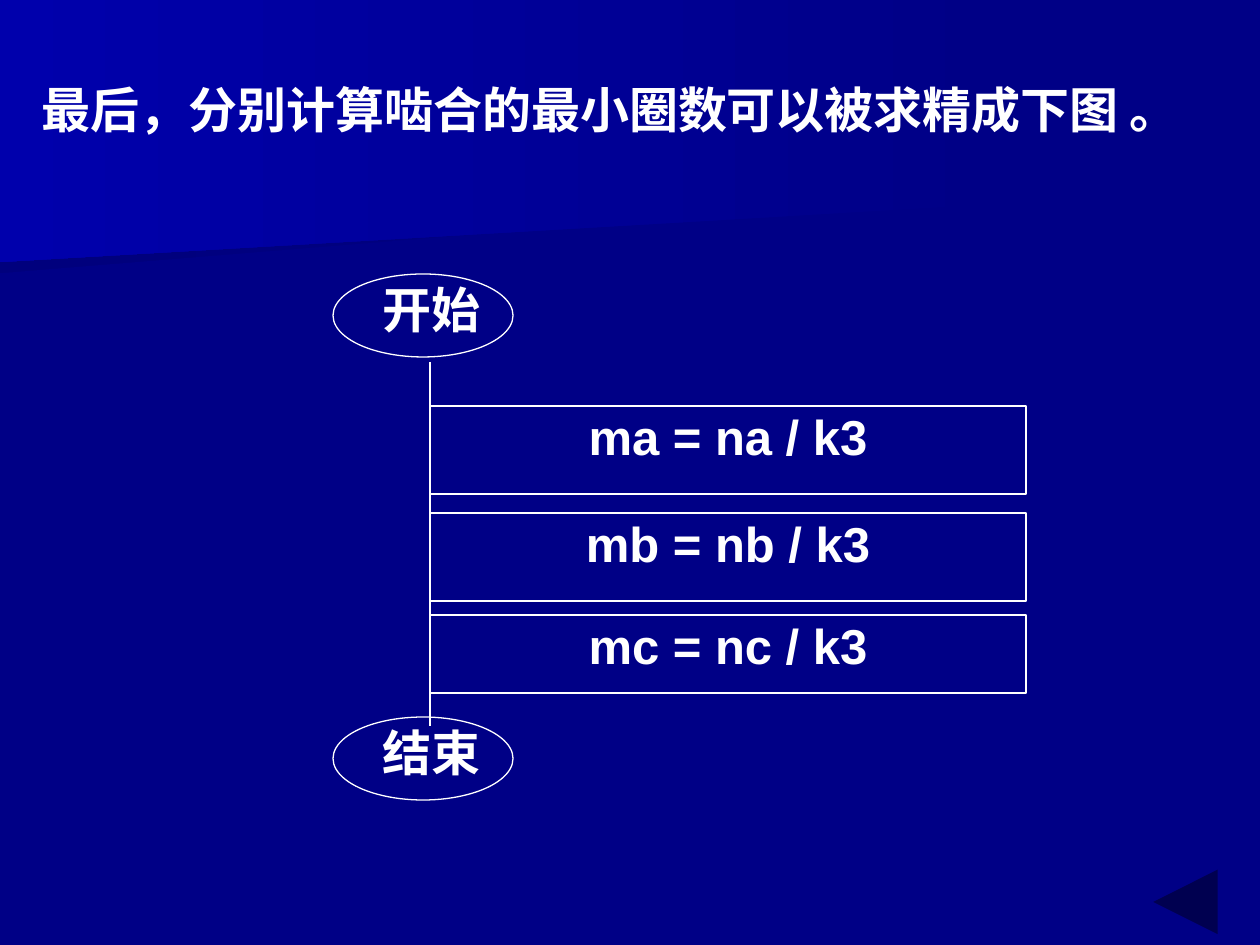
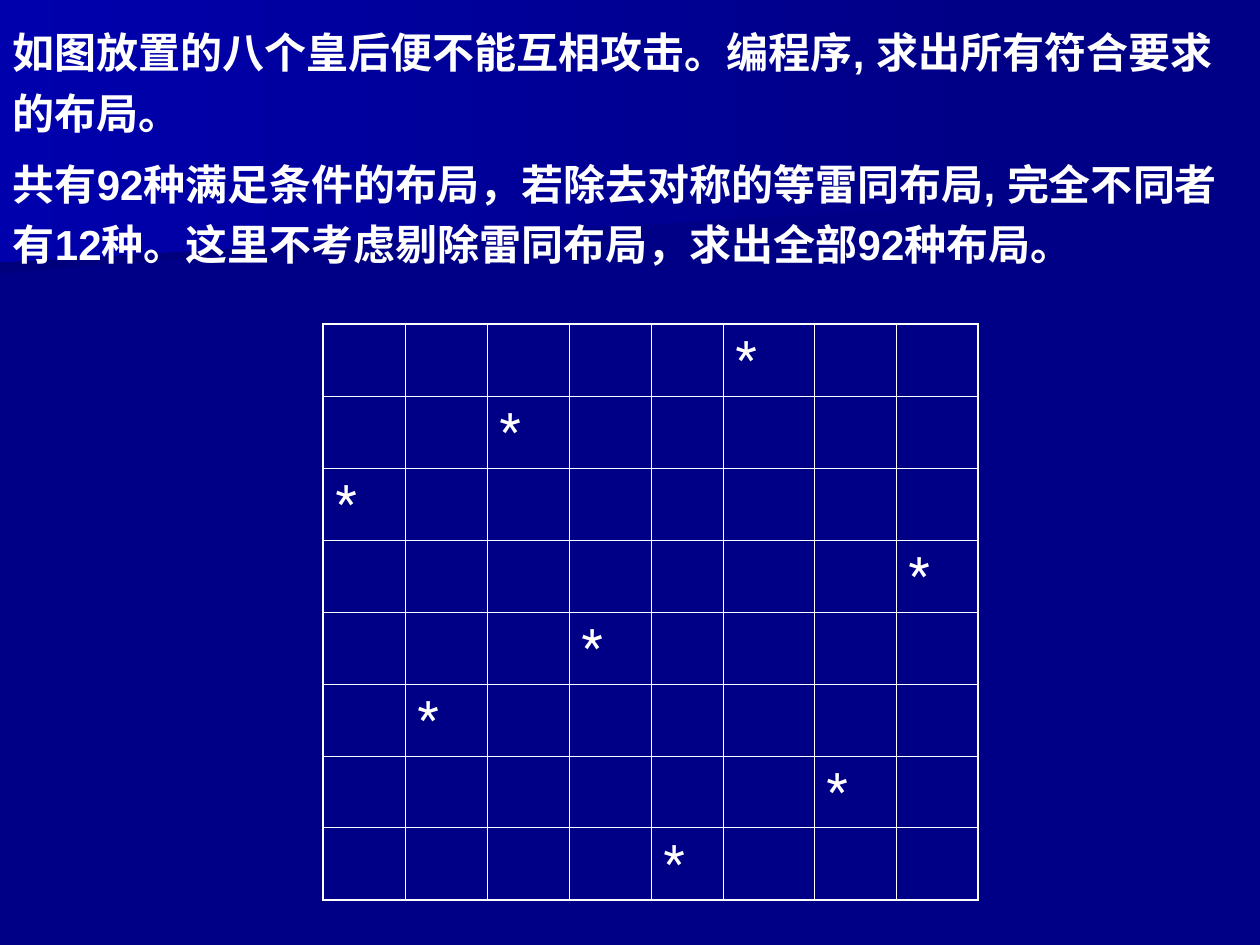
from lxml import etree
from pptx import Presentation
from pptx.dml.color import RGBColor
from pptx.enum.shapes import MSO_CONNECTOR, MSO_SHAPE
from pptx.enum.text import MSO_ANCHOR, PP_ALIGN
from pptx.oxml.ns import qn
from pptx.util import Pt

RECT, OVAL = MSO_SHAPE.RECTANGLE, MSO_SHAPE.OVAL
BACK_BUTTON = MSO_SHAPE.ACTION_BUTTON_BACK_OR_PREVIOUS
STRAIGHT = MSO_CONNECTOR.STRAIGHT
LEFT, CENTER = PP_ALIGN.LEFT, PP_ALIGN.CENTER
TOP, MIDDLE = MSO_ANCHOR.TOP, MSO_ANCHOR.MIDDLE

SCALE = 914400 / 126
WIDTH, HEIGHT = 1260, 945
COLORS = {"navy": "000086", "shade": "00007D", "glow": "0000AC", "white": "FFFFFF"}
FONT, SYMBOL_FONT = "Arial", "Roboto"

WEDGES = [
    ("shade", [(980, 193), (0, 273), (0, 127), (982, 127), (980, 161)]),
    ("glow", [(998, 204), (0, 262), (0, 0), (998, 0)]),
]
STEPS = [("ma = na / k3", 406, 88), ("mb = nb / k3", 513, 88), ("mc = nc / k3", 615, 78)]
QUEEN_COLUMNS = [5, 2, 0, 7, 3, 1, 6, 4]
COLUMN_WIDTHS = [82, 82, 82, 82, 72, 91, 82, 82]
ROW_HEIGHT = 72


def px(*values):
    """Turn px lengths into a list of EMU lengths."""
    return [round(v * SCALE) for v in values]


def rgb(name):
    """Look up a palette colour."""
    return RGBColor.from_string(COLORS[name])


def write(tf, *paragraphs, size=28, font=FONT, bold=True, align=LEFT, anchor=TOP,
          inset=(13, 6), wrap=True, spacing=None, gap=0):
    """Fill a text frame; a paragraph is a string or a list of (text, font) runs."""
    tf.word_wrap = wrap
    tf.vertical_anchor = anchor
    tf.margin_left, tf.margin_top = tf.margin_right, tf.margin_bottom = px(*inset)
    for i, content in enumerate(paragraphs):
        p = tf.add_paragraph() if i else tf.paragraphs[0]
        p.alignment = align
        if spacing:
            p.line_spacing = spacing
        if gap:
            p.space_after = Pt(gap)
            p.space_before = Pt(gap if i else 0)
        for text, name in [(content, font)] if isinstance(content, str) else content:
            r = p.add_run()
            r.text = text
            r.font.name, r.font.size, r.font.bold = name, Pt(size), bold
            r.font.color.rgb = rgb("white")


def add_text(s, box, *paragraphs, **fmt):
    """Add a text box."""
    write(s.shapes.add_textbox(*px(*box)).text_frame, *paragraphs, **fmt)


def add_outline(s, kind, box):
    """Add an unfilled preset shape with a thin white line."""
    sp = s.shapes.add_shape(kind, *px(*box))
    sp.shadow.inherit = False
    sp.fill.background()
    sp.line.color.rgb = rgb("white")
    sp.line.width = Pt(0.75)
    return sp


def add_line(s, x1, y1, x2, y2):
    """Add a straight white line without a shadow."""
    sp = s.shapes.add_connector(STRAIGHT, *px(x1, y1, x2, y2))
    sp.line.color.rgb = rgb("white")
    sp.line.width = Pt(1)
    etree.SubElement(sp._element.spPr, qn("a:effectLst"))


def add_terminal(s, text, top):
    """Add a start or end oval of the flowchart with its label."""
    add_text(s, (333, top + 5, 197, 78), text, align=CENTER, inset=(1, 1))
    add_outline(s, OVAL, (333, top, 180, 83))


def add_back_button(s):
    """Add the back button in the lower right corner."""
    sp = s.shapes.add_shape(BACK_BUTTON, *px(1111, 859, 149, 86))
    sp.shadow.inherit = False
    sp.fill.solid()
    sp.fill.fore_color.rgb = rgb("navy")
    sp.line.fill.background()


def add_wedge(s, color, points):
    """Add a background wedge that fades to navy on the right."""
    builder = s.shapes.build_freeform(*points[0], scale=SCALE)
    builder.add_line_segments(points[1:], close=True)
    sp = builder.convert_to_shape()
    sp.shadow.inherit = False
    sp.line.fill.background()
    sp.fill.gradient()
    sp.fill.gradient_angle = 180
    for stop, name in zip(sp.fill.gradient_stops, ("navy", color)):
        stop.color.rgb = rgb(name)


def set_borders(cell, widths):
    """Set white cell borders from a dict of side and points."""
    tc_pr = cell._tc.get_or_add_tcPr()
    for side, width in widths.items():
        ln = etree.SubElement(tc_pr, qn(f"a:ln{side}"), w=str(Pt(width)))
        fill = etree.SubElement(ln, qn("a:solidFill"))
        etree.SubElement(fill, qn("a:srgbClr"), val=COLORS["white"])


def add_board(s, left, top):
    """Add the chessboard table with one queen in each row."""
    n = len(QUEEN_COLUMNS)
    size = sum(COLUMN_WIDTHS), ROW_HEIGHT * n
    table = s.shapes.add_table(n, n, *px(left, top, *size)).table
    table.first_row = table.horz_banding = False
    for column, width in zip(table.columns, COLUMN_WIDTHS):
        column.width = px(width)[0]
    for row, queen in enumerate(QUEEN_COLUMNS):
        table.rows[row].height = px(ROW_HEIGHT)[0]
        for col in range(n):
            cell = table.cell(row, col)
            edges = {"L": col == 0, "R": col == n - 1, "T": row == 0, "B": row == n - 1}
            set_borders(cell, {k: 1.08 if outer else 0.45 for k, outer in edges.items()})
            cell.fill.background()
            if col == queen:
                cell.vertical_anchor = MIDDLE
                write(cell.text_frame, "*", font=SYMBOL_FONT, bold=False, anchor=MIDDLE)


def add_slide(prs):
    """Add a blank slide with the shared wedges."""
    s = prs.slides.add_slide(prs.slide_layouts[6])
    for color, points in WEDGES:
        add_wedge(s, color, points)
    return s


def build_flowchart(prs):
    """Build the slide with the refined flowchart."""
    s = add_slide(prs)
    add_text(s, (29, 62, 1162, 83), "最后，分别计算啮合的最小圈数可以被求精成下图 。",
             wrap=False, spacing=1.2)
    add_terminal(s, "开始", 274)
    add_line(s, 430, 362, 430, 726)
    for text, top, height in STEPS:
        sp = add_outline(s, RECT, (430, top, 596, height))
        write(sp.text_frame, text, align=CENTER, inset=(1, 1))
    add_terminal(s, "结束", 717)
    add_back_button(s)


def build_queens(prs):
    """Build the slide with the eight queens problem."""
    s = add_slide(prs)
    add_board(s, 323, 324)
    add_text(s, (0, 10, WIDTH, 266),
             "如图放置的八个皇后便不能互相攻击。编程序, 求出所有符合要求的布局。",
             [("共有92种满足条件的布局，若除去对称的等", FONT), ("雷", SYMBOL_FONT),
              ("同布局, 完全不同者有12种。这里不考虑剔除雷同布局，求出全部92种布局。", FONT)],
             size=24, anchor=MIDDLE, spacing=1.2, gap=3)


def main():
    """Build and save the presentation."""
    prs = Presentation()
    prs.slide_width, prs.slide_height = px(WIDTH, HEIGHT)
    fill = prs.slide_master.background.fill
    fill.solid()
    fill.fore_color.rgb = rgb("navy")
    build_flowchart(prs)
    build_queens(prs)
    prs.save("out.pptx")


if __name__ == "__main__":
    main()
